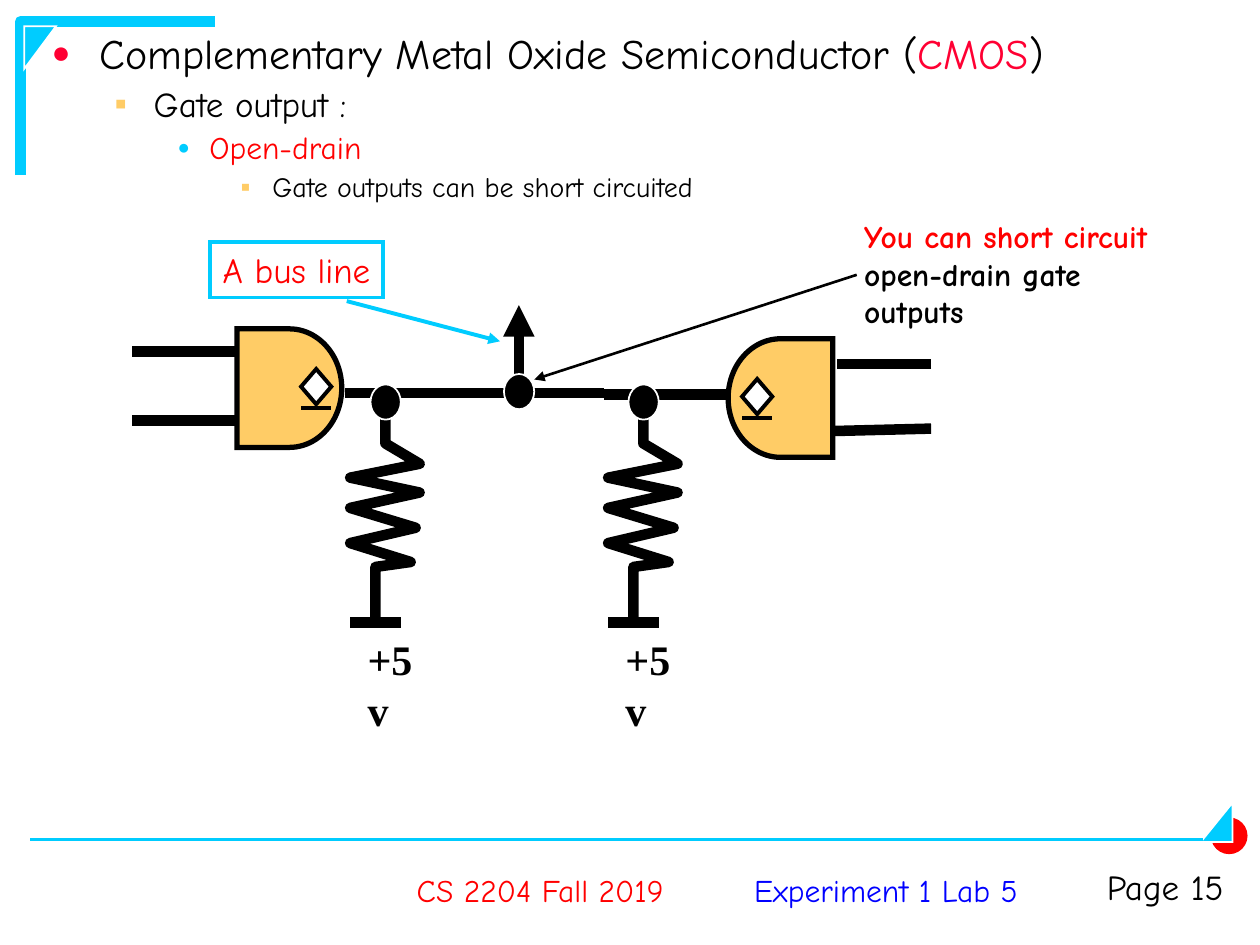
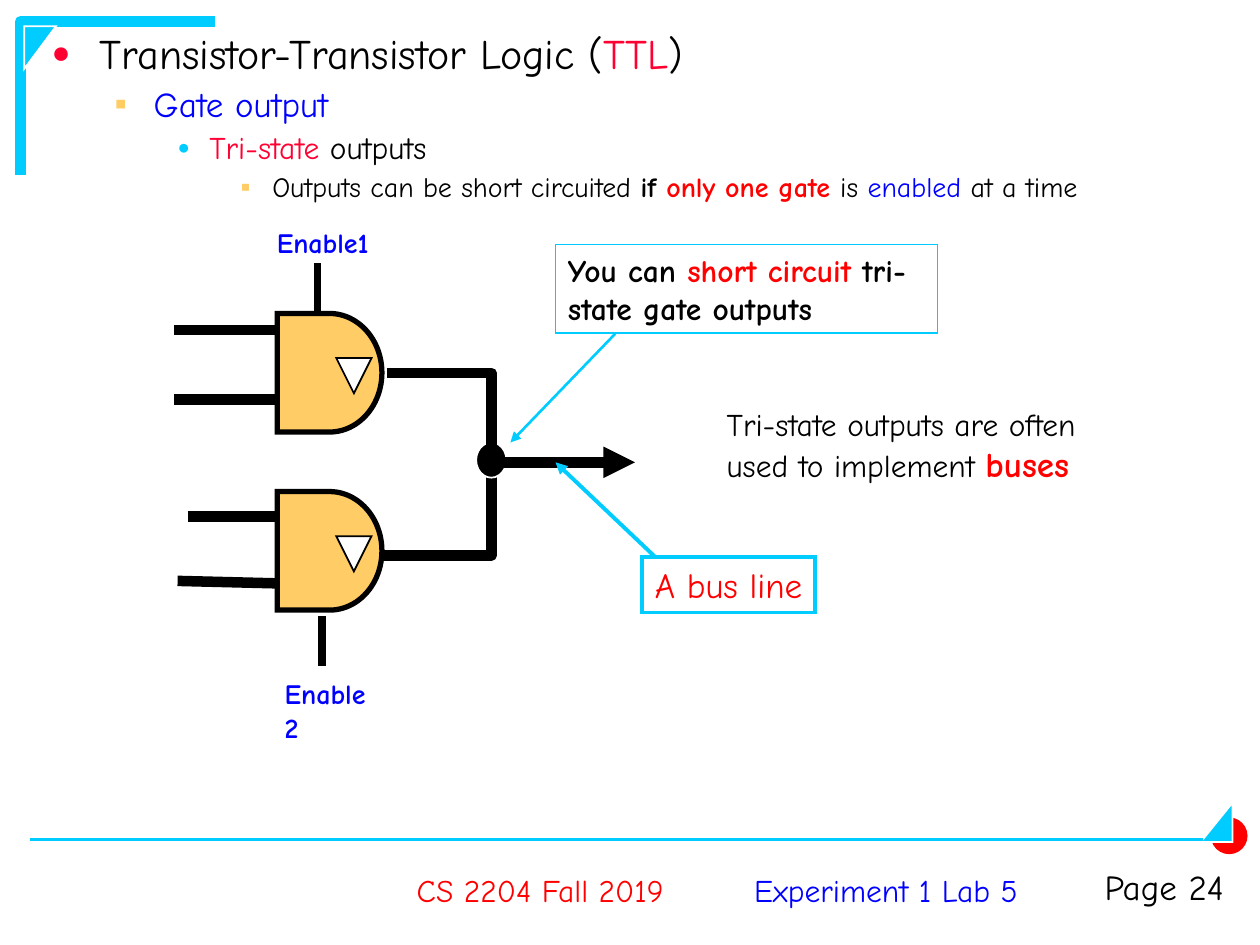
"""Build two slides on CMOS open-drain and TTL tri-state gate outputs."""
from dataclasses import dataclass
from lxml import etree
from pptx import Presentation
from pptx.dml.color import RGBColor
from pptx.enum import shapes, text
from pptx.oxml.ns import qn
from pptx.util import Cm, Pt


@dataclass(frozen=True)
class Theme:
    black: str = "000000"
    white: str = "FFFFFF"
    cyan: str = "00CCFF"
    gold: str = "FFCC66"
    red: str = "FF0000"
    crimson: str = "FF0033"
    blue: str = "0000FF"
    font: str = "Comic Neue"
    serif: str = "Times New Roman"
    title: int = 24
    large: int = 20
    body: int = 18
    small: int = 16
    wire: float = 6


T = Theme()
MSO = shapes.MSO_SHAPE
LEFT, CENTER, RIGHT = text.PP_ALIGN.LEFT, text.PP_ALIGN.CENTER, text.PP_ALIGN.RIGHT
LEVELS = [
    (0.97, 0.97, 0, "●", T.crimson, 75, T.title),
    (2.06, 0.79, 5, "▪", T.gold, 100, T.large),
    (3.18, 0.64, 4.5, "●", T.cyan, 65, T.body),
    (4.45, 0.64, 4, "▪", T.gold, 100, T.small),
]


def box(s, kind, at, fill=None, edge=None, width=1, paras=(), size=T.body, font=T.font,
        align=LEFT, wrap=True, middle=False, inset=0.25, outline=False, flip="", rot=0):
    """Add a preset shape or text box; paras hold runs of (text, colour, bold)."""
    at = [Cm(v) for v in at]
    sp = s.shapes.add_shape(kind, *at) if kind else s.shapes.add_textbox(*at)
    sp.rotation = rot
    for axis in flip:
        sp.element.spPr.find(qn("a:xfrm")).set("flip" + axis, "1")
    if fill:
        sp.fill.solid()
        sp.fill.fore_color.rgb = RGBColor.from_string(fill)
    else:
        sp.fill.background()
    if edge:
        sp.line.color.rgb = RGBColor.from_string(edge)
        sp.line.width = Pt(width)
        etree.SubElement(sp.element.spPr.find(qn("a:ln")), qn("a:miter"), lim="800000")
    else:
        sp.line.fill.background()
    if kind:
        sp.shadow.inherit = False
    if not paras:
        return
    tf = sp.text_frame
    tf.word_wrap = wrap
    tf.margin_left = tf.margin_right = Cm(inset)
    tf.margin_top = tf.margin_bottom = Cm(0.13)
    tf.vertical_anchor = text.MSO_ANCHOR.MIDDLE if middle else text.MSO_ANCHOR.TOP
    for i, runs in enumerate(paras):
        p = tf.add_paragraph() if i else tf.paragraphs[0]
        p.alignment = align
        if outline:
            indent, hang, before, mark, tint, scale, size = LEVELS[i]
            p.level = i
            p.line_spacing = 0.9
            p.space_before = Pt(before)
            pPr = p._p.get_or_add_pPr()
            pPr.set("marL", str(Cm(indent)))
            pPr.set("indent", str(-Cm(hang)))
            clr = etree.SubElement(pPr, qn("a:buClr"))
            etree.SubElement(clr, qn("a:srgbClr"), val=tint)
            etree.SubElement(pPr, qn("a:buSzPct"), val=str(scale * 1000))
            etree.SubElement(pPr, qn("a:buFont"), typeface=T.serif)
            etree.SubElement(pPr, qn("a:buChar"), char=mark)
        for words, color, bold, *own in runs:
            r = p.add_run()
            r.text = words
            r.font.name = font
            r.font.size = Pt(own[0] if own else size)
            r.font.bold = bold
            r.font.color.rgb = RGBColor.from_string(color)


def stroke(s, points, color=T.black, width=T.wire, arrow=False):
    """Draw a straight connector, or an open outline through three or more points."""
    pts = [(Cm(x), Cm(y)) for x, y in points]
    if len(pts) == 2:
        sp = s.shapes.add_connector(shapes.MSO_CONNECTOR.STRAIGHT, *pts[0], *pts[1])
    else:
        fb = s.shapes.build_freeform(*pts[0], scale=1.0)
        fb.add_line_segments(pts[1:], close=False)
        sp = fb.convert_to_shape()
        sp.fill.background()
    sp.line.color.rgb = RGBColor.from_string(color)
    sp.line.width = Pt(width)
    spPr = sp.element.spPr
    ln = spPr.find(qn("a:ln"))
    etree.SubElement(ln, qn("a:round"))
    if arrow:
        etree.SubElement(ln, qn("a:tailEnd"), type="triangle")
    etree.SubElement(spPr, qn("a:effectLst"))


prs = Presentation()
prs.slide_width, prs.slide_height = Cm(25.4), Cm(19.05)

outlines = [
    (15, [
        [("Complementary Metal Oxide Semiconductor (", T.black, False),
         ("CMOS", T.crimson, False), (")", T.black, False)],
        [("Gate output :", T.black, False)],
        [("Open-drain", T.red, False)],
        [("Gate outputs can be short circuited", T.black, False)],
    ]),
    (24, [
        [("Transistor-Transistor Logic (", T.black, False),
         ("TTL", T.crimson, False), (")", T.black, False)],
        [("Gate output", T.blue, False)],
        [("Tri-state", T.crimson, False), (" outputs", T.black, False)],
        [("Outputs can be short circuited ", T.black, False), ("if", T.black, True),
         (" only one gate ", T.red, True), ("is ", T.black, False),
         ("enabled ", T.blue, False), ("at a time", T.black, False)],
    ]),
]

for page, outline in outlines:
    s = prs.slides.add_slide(prs.slide_layouts[6])
    stroke(s, [(0.41, 3.53), (0.41, 0.43), (4.34, 0.43)], T.cyan)
    box(s, MSO.RIGHT_TRIANGLE, (0.38, 0.64, 0.86, 0.64), T.cyan, T.white, flip="HV", rot=270)
    box(s, MSO.OVAL, (24.41, 16.48, 0.74, 0.74), T.red)
    box(s, MSO.RIGHT_TRIANGLE, (24.13, 16.26, 0.79, 0.64), T.cyan, T.white, rot=270)
    stroke(s, [(24.84, 16.41), (24.84, 16.97), (24.46, 16.97)], T.white, 0.75)
    stroke(s, [(0.61, 16.92), (24.26, 16.92)], T.cyan, 1.5)
    box(s, None, (0.53, 0.53, 24.33, 16.41), paras=outline, inset=0.51, outline=True)
    for words, color, x, w in [("Experiment 1 Lab 5", T.blue, 14.61, 6.5),
                               ("CS 2204 Fall 2019", T.red, 7.59, 6.6)]:
        box(s, None, (x, 17.12, w, 1.63), paras=[[(words, color, False)]],
            align=CENTER, wrap=False, middle=True)
    box(s, None, (21.21, 17.32, 3.71, 1.42), paras=[[(f"Page {page}", T.black, False)]],
        size=T.large, align=RIGHT)

cmos, ttl = prs.slides
DOT = (0.61, 0.71)
GATE = (2.11, 2.39)

s = cmos
stroke(s, [(6.96, 7.92), (12.17, 7.92)])
stroke(s, [(12.17, 7.95), (14.66, 7.95)])
zigzag = [(7.77, 8.13), (7.77, 8.94), (8.46, 9.35), (7.06, 9.63), (8.46, 9.93), (7.06, 10.24),
          (8.38, 10.64), (7.06, 10.95), (8.28, 11.33), (7.57, 11.43), (7.57, 12.45)]
for dx in (0, 5.2):
    stroke(s, [(7.06 + dx, 12.55), (8.08 + dx, 12.55)])
    stroke(s, [(x + dx, y) for x, y in zigzag])
    box(s, MSO.OVAL, (7.47 + dx, 7.75, *DOT), T.black, T.white)
    box(s, None, (7.16 + dx, 12.65, 2.03, 1.27), paras=[[("+5 v", T.black, True)]],
        size=T.title, font=T.serif, wrap=False)
for pin in [[(2.67, 7.09), (4.78, 7.09)], [(2.67, 8.48), (4.78, 8.48)],
            [(18.77, 7.34), (16.87, 7.34)], [(18.77, 8.64), (16.76, 8.69)]]:
    stroke(s, pin)
for x, y, mark_x, flip in [(4.78, 6.63, 6.07, ""), (14.68, 6.83, 14.96, "H")]:
    box(s, MSO.FLOWCHART_DELAY, (x, y, *GATE), T.gold, T.black, 3, flip=flip)
    stroke(s, [(mark_x, y + 1.6), (mark_x + 0.61, y + 1.6)], width=2.25)
    box(s, MSO.DIAMOND, (mark_x, y + 0.81, *DOT), T.white, T.black, 2.25)
stroke(s, [(10.46, 7.85), (10.46, 6.15)], arrow=True)
box(s, MSO.OVAL, (10.16, 7.54, *DOT), T.black, T.white)
box(s, None, (17.17, 4.24, 6.6, 2.54), paras=[[
    ("You can short circuit", T.red, True), (" open-drain gate outputs", T.black, True)]])
stroke(s, [(17.27, 5.54), (10.77, 7.65)], width=1.5, arrow=True)

s = ttl
box(s, MSO.RECTANGLE, (11.2, 4.93, 7.7, 1.78), edge=T.cyan, paras=[[
    ("You can ", T.black, True), ("short circuit", T.red, True),
    (" tri-state gate outputs", T.black, True)]])
for x, y, end_y in [(3.51, 6.65, 6.65), (3.51, 8.05, 8.05),
                    (3.78, 10.41, 10.41), (3.58, 11.71, 11.76)]:
    stroke(s, [(x, y), (5.59, end_y)])
stroke(s, [(7.49, 11.2), (9.91, 11.2), (9.91, 9.12)])
box(s, MSO.OVAL, (9.6, 8.92, *DOT), T.black, T.white)
stroke(s, [(7.8, 7.52), (9.91, 7.52), (9.91, 9.5)])
stroke(s, [(10.08, 9.32), (12.8, 9.32)], arrow=True)
for name, y, pin_x, pin_y, label_x, label_y in [("Enable1", 6.32, 6.4, 5.31, 5.33, 4.42),
                                                ("Enable2", 9.91, 6.5, 12.42, 5.49, 13.51)]:
    box(s, MSO.FLOWCHART_DELAY, (5.59, y, *GATE), T.gold, T.black, 3)
    box(s, MSO.ISOSCELES_TRIANGLE, (6.78, y + 0.9, 0.71, 0.71), T.white, T.black, flip="V")
    stroke(s, [(pin_x, pin_y), (pin_x, pin_y + 1)], width=4.5)
    box(s, None, (label_x, label_y, 2.4, 0.94), paras=[[(name, T.blue, True)]],
        size=T.small, wrap=False)
stroke(s, [(12.4, 6.73), (10.29, 8.92)], T.cyan, 1.5, arrow=True)
box(s, None, (14.4, 8.03, 8.92, 1.88), paras=[[
    ("Tri-state outputs are often used to implement ", T.black, False),
    ("buses", T.red, True, T.large)]])

for s, x, y, pointer in [(cmos, 4.24, 4.88, [(6.99, 6.07), (10.08, 6.88)]),
                         (ttl, 12.95, 11.23, [(13.21, 11.23), (11.2, 9.32)])]:
    box(s, MSO.RECTANGLE, (x, y, 3.48, 1.12), edge=T.cyan, width=2.25,
        paras=[[("A bus line", T.red, False)]], size=T.large, wrap=False)
    stroke(s, pointer, T.cyan, 2.25, arrow=True)

prs.save("out.pptx")
